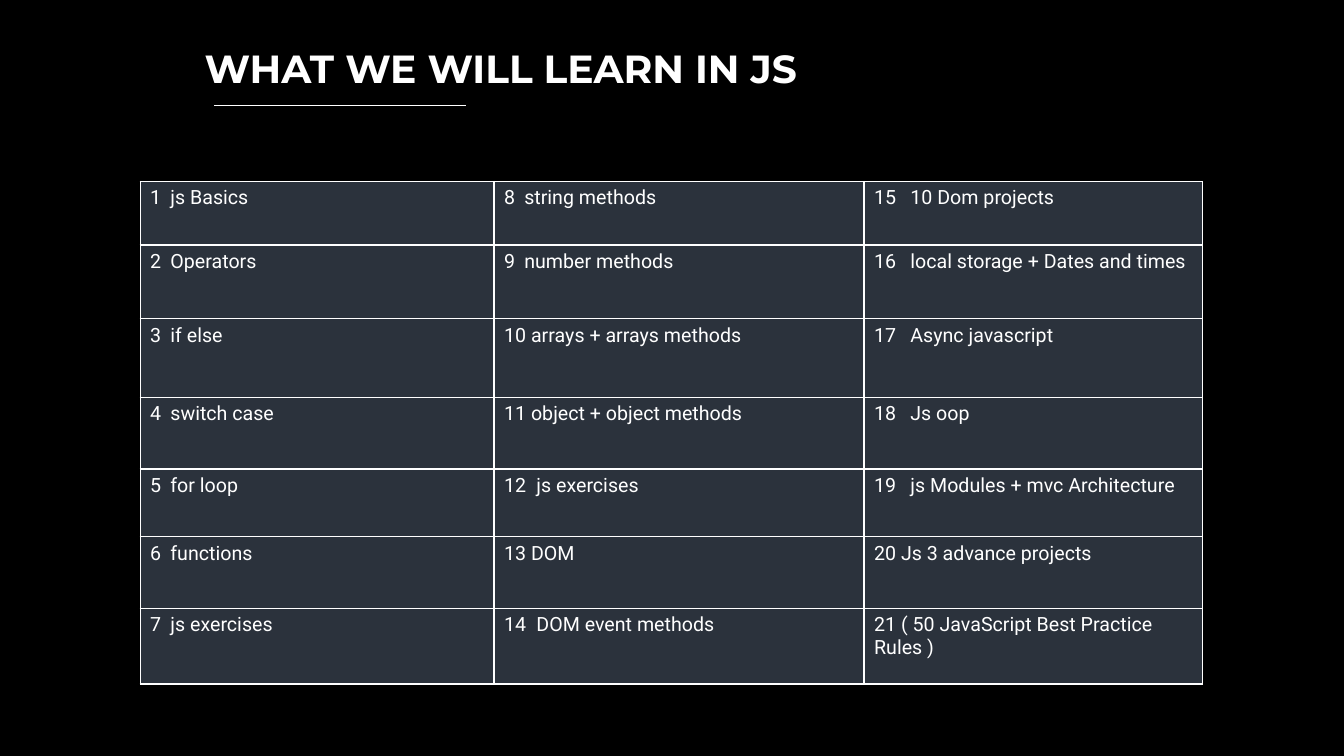
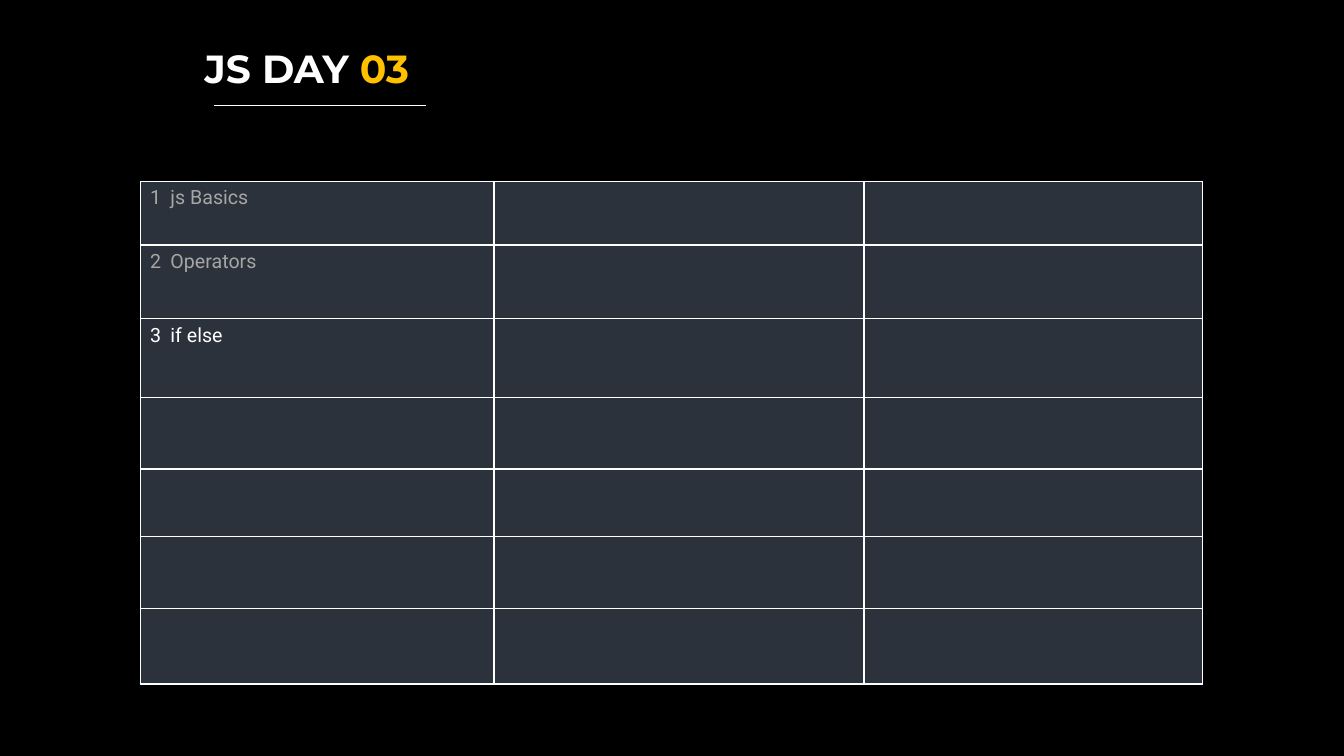
from dataclasses import dataclass

from lxml.etree import SubElement
from pptx import Presentation
from pptx.dml.color import RGBColor
from pptx.enum.shapes import MSO_CONNECTOR as Connector
from pptx.oxml.ns import qn
from pptx.util import Inches, Pt


@dataclass(frozen=True)
class Theme:
    """Colours, fonts and type sizes shared by the slides."""
    background: str = "000000"
    cell: str = "2B323C"
    text: str = "FFFFFF"
    muted: str = "A6A6A6"
    accent: str = "FFC000"
    title_font: str = "Montserrat"
    body_font: str = "Roboto"
    title_size: int = 28
    body_size: int = 14
    rule_width: float = 0.75
    border_width: float = 1


@dataclass(frozen=True)
class Box:
    """A rectangle whose regions are given in percent of its size."""
    left: int
    top: int
    width: int
    height: int

    def region(self, left, top, width, height):
        """Return the inner box at the given percentages."""
        return Box(
            round(self.left + self.width * left / 100),
            round(self.top + self.height * top / 100),
            round(self.width * width / 100),
            round(self.height * height / 100),
        )

    def frame(self):
        """Return left, top, width and height for a shape."""
        return self.left, self.top, self.width, self.height


THEME = Theme()
PAGE = Box(0, 0, Inches(13.33), Inches(7.5))
HEADING = PAGE.region(14.5, 5.2, 84.8, 8.8)
TOPIC_GRID = PAGE.region(10.43, 24, 79.07, 66.5)
COLUMN_WEIGHTS = (3.51, 3.67, 3.36)
ROW_WEIGHTS = (0.63, 0.73, 0.78, 0.71, 0.67, 0.71, 0.75)
TAB_STOPS = ((0.2,), (0.2, 0.32), (0.36,))

TOPICS = (
    ("1\tjs Basics", "2\tOperators", "3\tif else", "4\tswitch case",
     "5\tfor loop", "6\tfunctions", "7\tjs exercises"),
    ("8\tstring methods", "9\tnumber methods", "10 arrays + arrays methods",
     "11 object + object methods", "12\tjs exercises", "13 DOM",
     "14\tDOM event methods"),
    ("15\t10 Dom projects", "16\tlocal storage + Dates and times",
     "17\tAsync javascript", "18\tJs oop", "19\tjs Modules + mvc Architecture",
     "20 Js 3 advance projects", "21 ( 50 JavaScript Best Practice Rules )"),
)


def style_run(run, font, size, color, bold=False):
    """Set the font, size, colour and weight of a run."""
    run.font.name = font
    run.font.size = Pt(size)
    run.font.bold = bold
    run.font.color.rgb = RGBColor.from_string(color)


def add_heading(slide, box, title_runs, rule_share):
    """Write the coloured title runs and the rule below them."""
    shape = slide.shapes.add_textbox(*box.region(0, 0, 100, 86).frame())
    shape.text_frame.word_wrap = True
    paragraph = shape.text_frame.paragraphs[0]
    for text, color in title_runs:
        run = paragraph.add_run()
        run.text = text
        style_run(run, THEME.title_font, THEME.title_size, color, bold=True)
    rule = box.region(1.7, 100, rule_share, 0)
    line = slide.shapes.add_connector(
        Connector.STRAIGHT, rule.left, rule.top, rule.left + rule.width, rule.top)
    line.line.color.rgb = RGBColor.from_string(THEME.text)
    line.line.width = Pt(THEME.rule_width)
    SubElement(line._element.spPr, qn("a:effectLst"))


def add_borders(cell):
    """Draw the four borders of a table cell."""
    properties = cell._tc.get_or_add_tcPr()
    for position, side in enumerate(("a:lnL", "a:lnR", "a:lnT", "a:lnB")):
        border = properties.makeelement(qn(side), {"w": str(Pt(THEME.border_width))})
        fill = SubElement(border, qn("a:solidFill"))
        SubElement(fill, qn("a:srgbClr"), val=THEME.text)
        properties.insert(position, border)


def write_topic(cell, text, color, stops):
    """Write a topic whose name starts at a tab stop."""
    paragraph = cell.text_frame.paragraphs[0]
    paragraph.text = text
    style_run(paragraph.runs[0], THEME.body_font, THEME.body_size, color)
    tabs = SubElement(paragraph._p.get_or_add_pPr(), qn("a:tabLst"))
    for stop in stops:
        SubElement(tabs, qn("a:tab"), pos=str(Inches(stop)), algn="l")


def add_topic_table(slide, box, columns, muted_count):
    """Fill the table column by column, with the first topics muted."""
    table = slide.shapes.add_table(
        len(ROW_WEIGHTS), len(COLUMN_WEIGHTS), *box.frame()).table
    table.first_row = table.horz_banding = False
    for column, weight in zip(table.columns, COLUMN_WEIGHTS):
        column.width = round(box.width * weight / sum(COLUMN_WEIGHTS))
    for row, weight in zip(table.rows, ROW_WEIGHTS):
        row.height = round(box.height * weight / sum(ROW_WEIGHTS))
    for cell in table.iter_cells():
        cell.fill.solid()
        cell.fill.fore_color.rgb = RGBColor.from_string(THEME.cell)
        add_borders(cell)
    for column, topics in enumerate(columns):
        for row, topic in enumerate(topics):
            muted = column == 0 and row < muted_count
            write_topic(table.cell(row, column), topic,
                        THEME.muted if muted else THEME.text, TAB_STOPS[column])


def add_topic_slide(presentation, title_runs, rule_share, columns, muted_count=0):
    """Add a dark slide with a heading and a table of topics."""
    slide = presentation.slides.add_slide(presentation.slide_layouts[6])
    slide.background.fill.solid()
    slide.background.fill.fore_color.rgb = RGBColor.from_string(THEME.background)
    add_heading(slide, HEADING, title_runs, rule_share)
    add_topic_table(slide, TOPIC_GRID, columns, muted_count)


def main():
    """Build and save the presentation."""
    presentation = Presentation()
    presentation.slide_width = PAGE.width
    presentation.slide_height = PAGE.height
    add_topic_slide(
        presentation, [("WHAT WE WILL LEARN IN JS", THEME.text)], 22.1, TOPICS)
    add_topic_slide(
        presentation, [("JS DAY ", THEME.text), ("03", THEME.accent)], 18.6,
        [TOPICS[0][:3]], muted_count=2)
    presentation.save("out.pptx")


if __name__ == "__main__":
    main()
